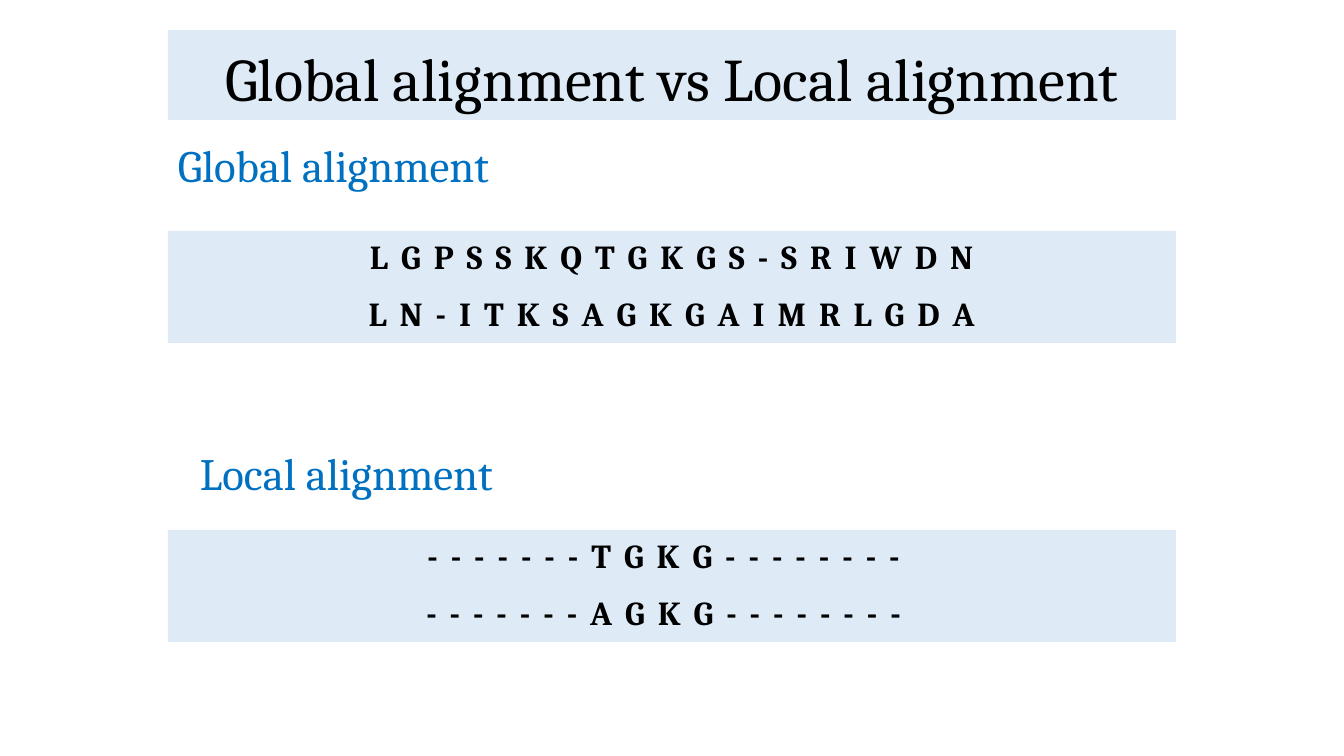
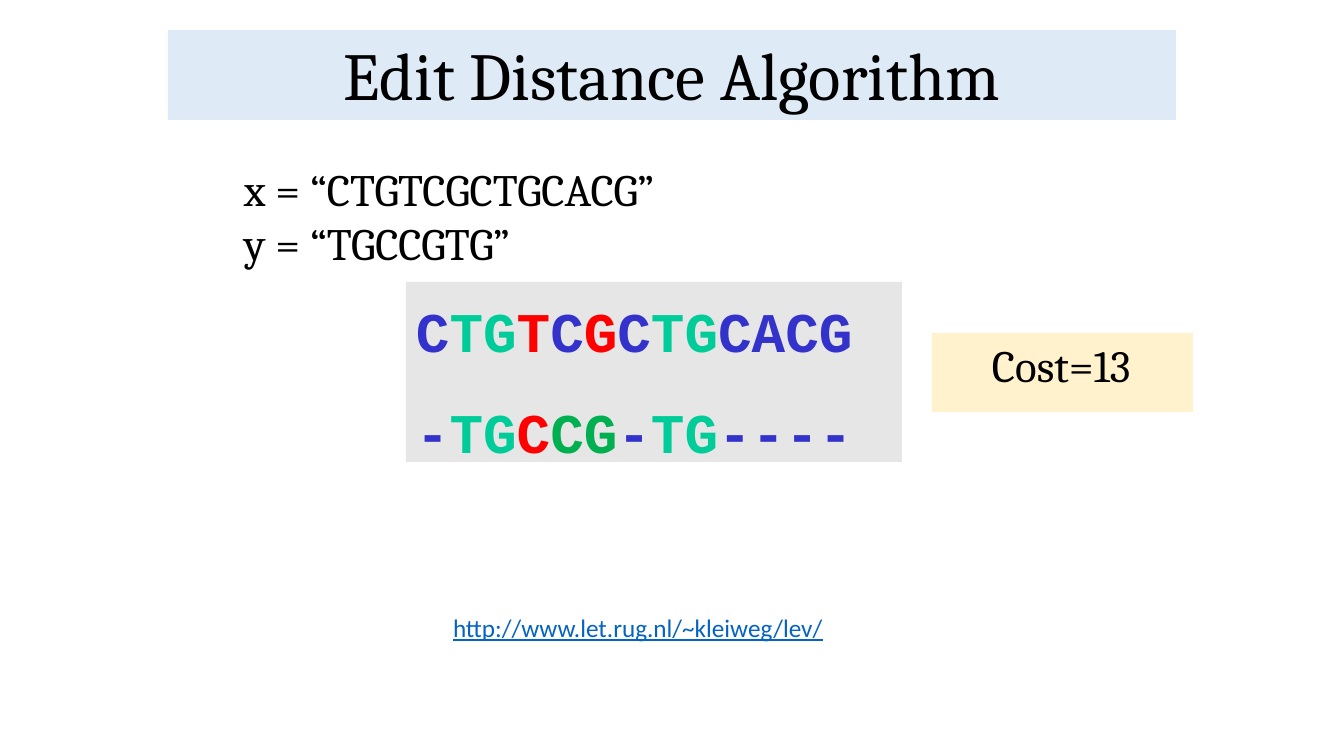
from pptx import Presentation
from pptx.dml.color import RGBColor
from pptx.enum.shapes import MSO_SHAPE
from pptx.enum.text import MSO_ANCHOR, MSO_AUTO_SIZE, PP_ALIGN
from pptx.util import Emu, Pt

RECT = MSO_SHAPE.RECTANGLE
TOP, BOTTOM = MSO_ANCHOR.TOP, MSO_ANCHOR.BOTTOM
FIXED = MSO_AUTO_SIZE.NONE
LEFT, CENTER = PP_ALIGN.LEFT, PP_ALIGN.CENTER

# Shared style
SCALE = 914400 / 100.8
SERIF, SANS, MONO = "Cambria", "Calibri", "Courier New"
BLACK, BLUE, LINK = "000000", "0070C0", "0563C1"
PALE, GREY, CREAM = "DEEBF7", "E7E6E6", "FFF2CC"
NAVY, TEAL, RED, GREEN = "3333CC", "00CC99", "FF0000", "00B050"
EDGE, WIDE = 168, 1008


def px(n):
    return Emu(round(n * SCALE))


def color(code):
    return RGBColor.from_string(code)


def write(frame, rows, size=32, face=SERIF, ink=BLACK, bold=False,
          line=False, align=LEFT, gap=0, lead=None, track=0,
          anchor=TOP, wrap=True, inset=(10, 5, 10, 5)):
    """Each row is a string or a list of (text, colour) pairs."""
    frame.word_wrap = wrap
    frame.auto_size = FIXED
    frame.vertical_anchor = anchor
    (frame.margin_left, frame.margin_top,
     frame.margin_right, frame.margin_bottom) = map(px, inset)
    for i, row in enumerate(rows):
        para = frame.paragraphs[0] if i == 0 else frame.add_paragraph()
        para.alignment = align
        if lead:
            para.line_spacing = lead
        if i and gap:
            para.space_before = Pt(gap)
        for text, tint in [(row, ink)] if isinstance(row, str) else row:
            run = para.add_run()
            run.text = text
            font = run.font
            font.name, font.size, font.bold = face, Pt(size), bold
            font.underline = line
            font.color.rgb = color(tint)
            if track:
                font._element.set("spc", str(track * 100))


class Deck:
    def __init__(self):
        self.prs = Presentation()
        self.prs.slide_width, self.prs.slide_height = px(1344), px(756)
        self.slide = None

    def page(self, title, size):
        self.slide = self.prs.slides.add_slide(self.prs.slide_layouts[5])
        head = self.slide.shapes.title
        head.left, head.top, head.width, head.height = map(
            px, (EDGE, 30, WIDE, 90))
        head.fill.solid()
        head.fill.fore_color.rgb = color(PALE)
        write(head.text_frame, [title], size=size, align=CENTER,
              lead=0.9, anchor=BOTTOM)

    def panel(self, x, y, w, h, fill, rows, **style):
        box = self.slide.shapes.add_shape(RECT, *map(px, (x, y, w, h)))
        box.shadow.inherit = False
        box.fill.solid()
        box.fill.fore_color.rgb = color(fill)
        box.line.fill.background()
        write(box.text_frame, rows, **style)

    def label(self, x, y, w, h, rows, **style):
        box = self.slide.shapes.add_textbox(*map(px, (x, y, w, h)))
        write(box.text_frame, rows, **style)

    def pair(self, y, rows, right=10):
        self.panel(EDGE, y, WIDE, 112, PALE, rows, size=24, bold=True,
                   align=CENTER, gap=12, track=2, inset=(10, 5, right, 5))


def main():
    deck = Deck()

    # Global and local alignment
    deck.page("Global alignment vs Local alignment", 43.2)
    deck.label(EDGE, 133, WIDE, 65, ["Global alignment"], ink=BLUE)
    deck.pair(231, ["L G P S S K Q T G K G S - S R I W D N",
                    "L N - I T K S A G K G A I M R L G D A"])
    deck.label(190, 441, WIDE, 65, ["Local alignment"], ink=BLUE)
    deck.pair(530, ["- - - - - - - T G K G - - - - - - - -",
                    "- - - - - - - A G K G - - - - - - - -"], right=26)

    # Edit distance
    deck.page("Edit Distance Algorithm", 48)
    deck.label(184, 157, WIDE, 232,
               ["x = “CTGTCGCTGCACG”", "y = “TGCCGTG”"],
               inset=(60, 5, 10, 5))
    deck.panel(406, 282, 496, 180, GREY, [
        [("C", NAVY), ("TG", TEAL), ("T", RED), ("C", NAVY), ("G", RED),
         ("C", NAVY), ("TG", TEAL), ("CACG", NAVY)],
        [("-", NAVY), ("TG", TEAL), ("C", RED), ("CG", GREEN),
         ("-", NAVY), ("TG", TEAL), ("----", NAVY)],
    ], size=40, face=MONO, bold=True, gap=24, inset=(10, 15, 10, 5))
    deck.panel(932, 333, 261, 79, CREAM, ["Cost=13"],
               inset=(60, 5, 10, 5))
    deck.label(443, 607, 395, 72, ["http://www.let.rug.nl/~kleiweg/lev/"],
               size=18, face=SANS, ink=LINK, line=True, wrap=False)

    deck.prs.save("out.pptx")


if __name__ == "__main__":
    main()
